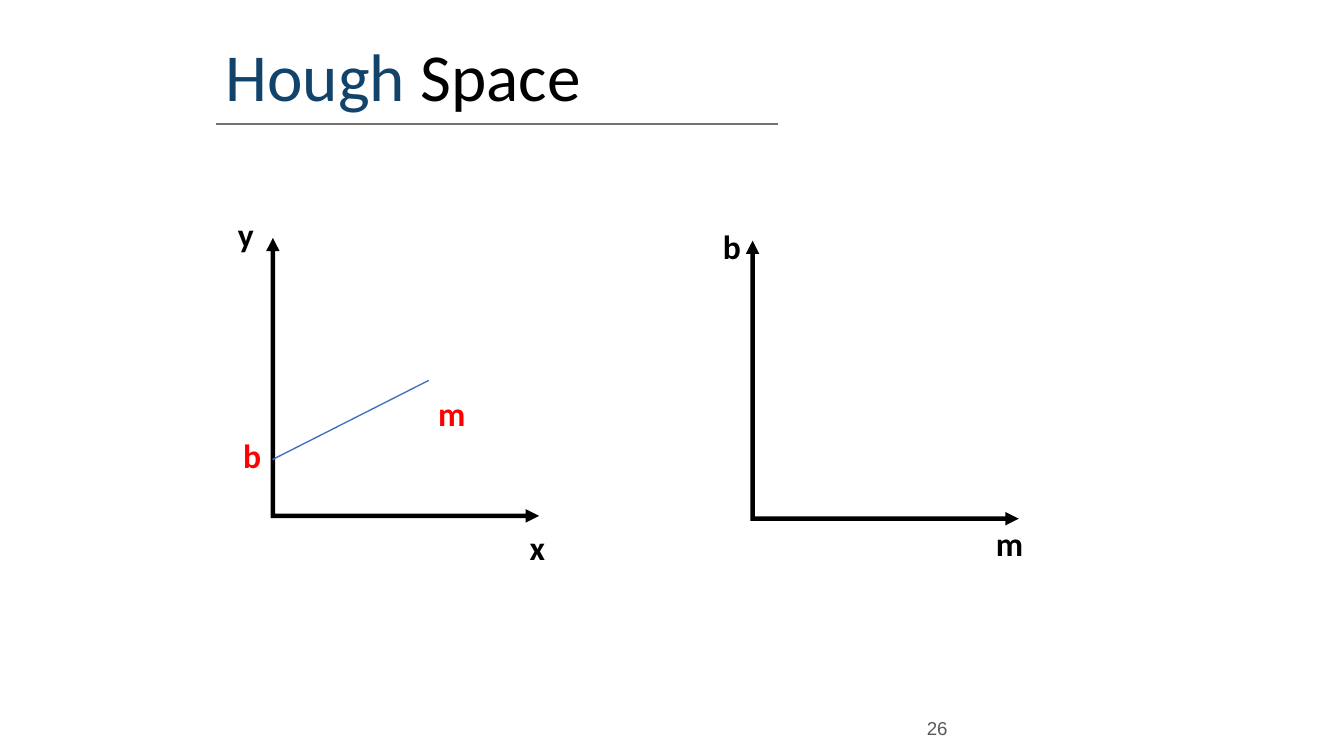
from lxml import etree
from pptx import Presentation
from pptx.dml.color import RGBColor
from pptx.enum.shapes import MSO_CONNECTOR
from pptx.enum.text import MSO_ANCHOR, PP_ALIGN
from pptx.oxml.ns import qn
from pptx.util import Pt

STRAIGHT = MSO_CONNECTOR.STRAIGHT
TOP, MIDDLE = MSO_ANCHOR.TOP, MSO_ANCHOR.MIDDLE
LEFT, RIGHT = PP_ALIGN.LEFT, PP_ALIGN.RIGHT

COLORS = {"black": "000000", "navy": "12436A", "red": "FF0000",
          "blue": "4471C4", "rule": "767070", "gray": "595959"}

# Paragraphs are (indent, [(words, color), ...])
TITLE = [(0.72, [("Hough ", "navy"), ("Space", "black")])]
LINE_PARAMETERS = [(105.1, [("m", "red")]), (0.72, [("b", "red")])]
PAGE_NUMBER = [(0, [("26", "gray")])]

# Axis names: text, left, top, width
AXIS_NAMES = [("m", 532.8, 279.4, 15.84), ("b", 386.6, 120.2, 11.5),
              ("y", 126.7, 113.8, 10.1), ("x", 283, 281.5, 10.1)]
AXES_ORIGINS = [(142.6, 127.4), (399.6, 128.9)]
AXES_SIZE = (146.2, 152.6)
HEAD, SHAFT = 7.2, 2.4

# Start x, start y, end x, end y, color
LINES = [(115.9, 66.4, 416.9, 66.4, "rule"), (146, 246.2, 229.7, 203.8, "blue")]


def rgb(name):
    return RGBColor.from_string(COLORS[name])


def add_text(page, paragraphs, left, top, width, height, size=18, bold=True,
             font="Calibri", align=LEFT, anchor=TOP, inset=0.72, gap=0):
    box = page.shapes.add_textbox(Pt(left), Pt(top), Pt(width), Pt(height))
    frame = box.text_frame
    frame.word_wrap = True
    frame.vertical_anchor = anchor
    frame.margin_left = frame.margin_right = frame.margin_bottom = 0
    frame.margin_top = Pt(inset)
    for index, (indent, spans) in enumerate(paragraphs):
        para = frame.add_paragraph() if index else frame.paragraphs[0]
        para.alignment = align
        if index:
            para.space_before = Pt(gap)
        para._p.get_or_add_pPr().set("marL", str(Pt(indent)))
        for words, color in spans:
            span = para.add_run()
            span.text = words
            span.font.name, span.font.size, span.font.bold = font, Pt(size), bold
            span.font.color.rgb = rgb(color)


def add_line(page, x1, y1, x2, y2, color):
    line = page.shapes.add_connector(STRAIGHT, Pt(x1), Pt(y1), Pt(x2), Pt(y2))
    line.line.color.rgb = rgb(color)
    line.line.width = Pt(0.75)
    etree.SubElement(line._element.spPr, qn("a:effectLst"))


def add_axes(page, left, top):
    """Draw both arrows of a coordinate system as one solid L-shaped outline."""
    width, height = AXES_SIZE
    near = (HEAD - SHAFT) / 2
    far = near + SHAFT
    neck = width - HEAD
    outline = [(near, HEAD), (0, HEAD), (HEAD / 2, 0), (HEAD, HEAD), (far, HEAD),
               (far, height - far), (neck, height - far), (neck, height - HEAD),
               (width, height - HEAD / 2), (neck, height),
               (neck, height - near), (near, height - near)]
    points = [(Pt(left + x), Pt(top + y)) for x, y in outline]
    builder = page.shapes.build_freeform(*points[0])
    builder.add_line_segments(points[1:], close=True)
    axes = builder.convert_to_shape()
    axes.shadow.inherit = False
    axes.fill.solid()
    axes.fill.fore_color.rgb = rgb("black")
    axes.line.fill.background()


deck = Presentation()
deck.slide_width, deck.slide_height = Pt(720), Pt(405)
page = deck.slides.add_slide(deck.slide_layouts[6])

add_text(page, TITLE, 120.2, 17.3, 242.6, 44.6, size=36, bold=False, anchor=MIDDLE)
for origin in AXES_ORIGINS:
    add_axes(page, *origin)
for line in LINES:
    add_line(page, *line)
for name, left, top, width in AXIS_NAMES:
    add_text(page, [(0.72, [(name, "black")])], left, top, width, 22.3)
add_text(page, LINE_PARAMETERS, 129.6, 208.1, 120.2, 46.8, inset=2.16, gap=1)
add_text(page, PAGE_NUMBER, 490.3, 383.8, 17.3, 12.2, size=10, bold=False,
         font="Arial", align=RIGHT, inset=0)

deck.save("out.pptx")
